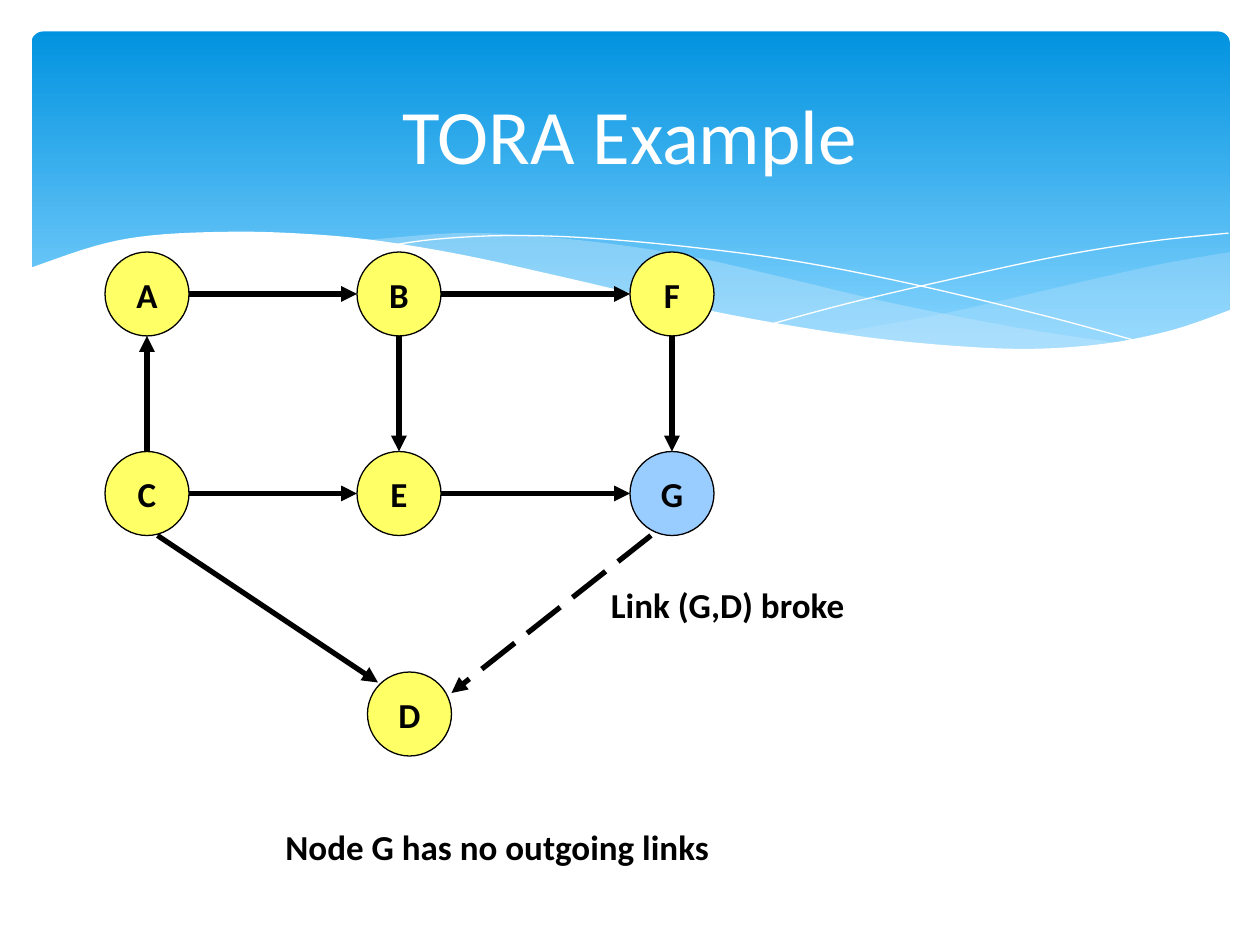
from lxml.etree import SubElement
from pptx import Presentation
from pptx.dml.color import RGBColor
from pptx.enum.dml import MSO_LINE
from pptx.enum.shapes import MSO_CONNECTOR, MSO_SHAPE
from pptx.enum.text import MSO_ANCHOR, MSO_AUTO_SIZE, PP_ALIGN
from pptx.oxml.ns import qn
from pptx.util import Pt

COLORS = {
    "sky_top": "0293E0", "sky_bottom": "83D3FE", "ribbon": "C6E7FC",
    "white": "FFFFFF", "black": "000000", "node": "FFFF66", "stranded": "99CCFF",
}
TITLE = {"name": "Calibri", "size": Pt(44), "bold": False}
LABEL = {"name": "Calibri", "size": Pt(20), "bold": True}

# Node name: left and top of its circle
DIAMETER = 48
NODES = {
    "A": (60, 144), "B": (204, 144), "F": (360, 144),
    "C": (60, 258), "E": (204, 258), "G": (360, 258), "D": (210, 384),
}
STRAIGHT_LINKS = ["CA", "BE", "FG", "AB", "BF", "CE", "EG"]

# Key points of the smooth curves in the banner
RIGHT_RIBBON = [
    [(703, 144), (663, 151), (620, 160.6), (542, 178.6), (476, 190.8)],
    [(476, 190.8), (518, 196), (562, 199.4), (601, 199.4), (640, 195.8),
     (673, 188.6), (703, 177.8)],
]
WIDE_RIBBON = [
    [(643, 196.6), (581, 187.2), (508, 172.8), (453, 159.8), (400, 147.6),
     (352, 139.7), (302, 134.6), (260, 133.2), (206, 137.5)],
    [(206, 137.5), (246, 143.3), (291, 152), (323, 159.8), (382, 172.8),
     (433, 183.6), (490, 193), (539, 198.7), (581, 200.2), (617, 199.4),
     (643, 196.6)],
]
FALLING_LINE = [
    [(222.5, 140.4), (248, 136.8), (289, 134.6), (338, 136.1), (400, 141.8),
     (458, 149.8), (523, 162.7), (598, 180.7), (653, 195.8)],
]
RISING_LINE = [
    [(441.4, 185), (484, 173.5), (539, 160.6), (602, 146.9), (655, 138.2),
     (702, 133.2)],
]
WHITE_WAVE = [
    [(703.4, 177), (670, 188.6), (630, 196.6), (582, 199.4), (523, 195.8),
     (467, 188.6), (400, 176.4), (322, 158.4), (263, 145.4), (210, 136.8),
     (166, 133.2), (127, 132.5), (86, 134.6), (55, 140.4), (16.6, 153.4)],
    [(16.6, 236.9), (703.4, 236.9)],
]


def rgb(name):
    return RGBColor.from_string(COLORS[name])


def smooth(points, steps=5):
    """Catmull-Rom curve through the points."""
    if len(points) < 3:
        return points
    padded = [points[0], *points, points[-1]]
    curve = [points[0]]
    for a, b, c, d in zip(padded, padded[1:], padded[2:], padded[3:]):
        for step in range(1, steps + 1):
            t = step / steps
            curve.append(tuple(
                q + (r - p) * t / 2 + (2 * p - 5 * q + 4 * r - s) * t**2 / 2
                + (3 * q - p - 3 * r + s) * t**3 / 2
                for p, q, r, s in zip(a, b, c, d)))
    return curve


def add_curve(page, curves, fill=None, alpha=None):
    """Filled area, or a white hairline when no fill is given."""
    points = [(Pt(x), Pt(y)) for curve in curves for x, y in smooth(curve)]
    builder = page.shapes.build_freeform(*points[0])
    builder.add_line_segments(points[1:], close=fill is not None)
    shape = builder.convert_to_shape()
    shape.shadow.inherit = False
    if fill is None:
        shape.fill.background()
        shape.line.color.rgb = rgb("white")
        shape.line.width = Pt(0)
        return
    shape.fill.solid()
    shape.fill.fore_color.rgb = rgb(fill)
    shape.line.fill.background()
    if alpha:
        color = shape._element.spPr.find(qn("a:solidFill"))[0]
        SubElement(color, qn("a:alpha"), val=str(alpha * 1000))


def add_banner(page):
    banner = page.shapes.add_shape(
        MSO_SHAPE.ROUNDED_RECTANGLE, Pt(18), Pt(18), Pt(684.7), Pt(194.4))
    banner.adjustments[0] = 0.034
    banner.shadow.inherit = False
    banner.line.fill.background()
    banner.fill.gradient()
    banner.fill.gradient_angle = 270
    stops = zip(banner.fill.gradient_stops, ["sky_top", "sky_bottom"], [0, 0.9])
    for stop, color, position in stops:
        stop.color.rgb = rgb(color)
        stop.position = position


def write(shape, text, style, color="black", align=None, wrap=False):
    frame = shape.text_frame
    frame.word_wrap = wrap
    frame.vertical_anchor = MSO_ANCHOR.MIDDLE
    para = frame.paragraphs[0]
    para.alignment = align
    span = para.add_run()
    span.text = text
    for key, value in style.items():
        setattr(span.font, key, value)
    span.font.color.rgb = rgb(color)


def add_label(page, text, left, top, width):
    box = page.shapes.add_textbox(Pt(left), Pt(top), Pt(width), Pt(31))
    write(box, text, LABEL, align=PP_ALIGN.LEFT)
    box.text_frame.auto_size = MSO_AUTO_SIZE.SHAPE_TO_FIT_TEXT


def add_node(page, name, left, top):
    node = page.shapes.add_shape(
        MSO_SHAPE.OVAL, Pt(left), Pt(top), Pt(DIAMETER), Pt(DIAMETER))
    node.shadow.inherit = False
    node.fill.solid()
    node.fill.fore_color.rgb = rgb("stranded" if name == "G" else "node")
    node.line.color.rgb = rgb("black")
    node.line.width = Pt(0.75)
    write(node, name, LABEL, align=PP_ALIGN.CENTER)


def add_arrow(page, start, end, dash=None):
    arrow = page.shapes.add_connector(
        MSO_CONNECTOR.STRAIGHT, *(Pt(value) for value in (*start, *end)))
    arrow.line.color.rgb = rgb("black")
    arrow.line.width = Pt(3)
    if dash:
        arrow.line.dash_style = dash
    SubElement(arrow.line._get_or_add_ln(), qn("a:tailEnd"), type="triangle")
    SubElement(arrow._element.spPr, qn("a:effectLst"))


def link_ends(source, target):
    """Facing edge points of two nodes in one row or column."""
    radius = DIAMETER / 2
    (x1, y1), (x2, y2) = NODES[source], NODES[target]
    step_x = radius * ((x2 > x1) - (x2 < x1))
    step_y = radius * ((y2 > y1) - (y2 < y1))
    return ((x1 + radius + step_x, y1 + radius + step_y),
            (x2 + radius - step_x, y2 + radius - step_y))


def main():
    deck = Presentation()
    deck.slide_width, deck.slide_height = Pt(720), Pt(540)
    page = deck.slides.add_slide(deck.slide_layouts[6])

    # Banner with waves
    add_banner(page)
    add_curve(page, RIGHT_RIBBON, "ribbon", 29)
    add_curve(page, WIDE_RIBBON, "ribbon", 40)
    add_curve(page, FALLING_LINE)
    add_curve(page, RISING_LINE)
    add_curve(page, WHITE_WAVE, "white")

    # Title
    title = page.shapes.add_textbox(Pt(36), Pt(27), Pt(648), Pt(98.6))
    write(title, "TORA Example", TITLE, "white", PP_ALIGN.CENTER, wrap=True)

    # Network
    for name, place in NODES.items():
        add_node(page, name, *place)
    for source, target in STRAIGHT_LINKS:
        add_arrow(page, *link_ends(source, target))
    add_arrow(page, (90, 306), (216, 390))
    add_arrow(page, (372, 306), (258, 396), MSO_LINE.LONG_DASH)

    # Remarks
    add_label(page, "Link (G,D) broke", 342, 330, 170)
    add_label(page, "Node G has no outgoing links", 156, 468, 298)

    deck.save("out.pptx")


if __name__ == "__main__":
    main()
